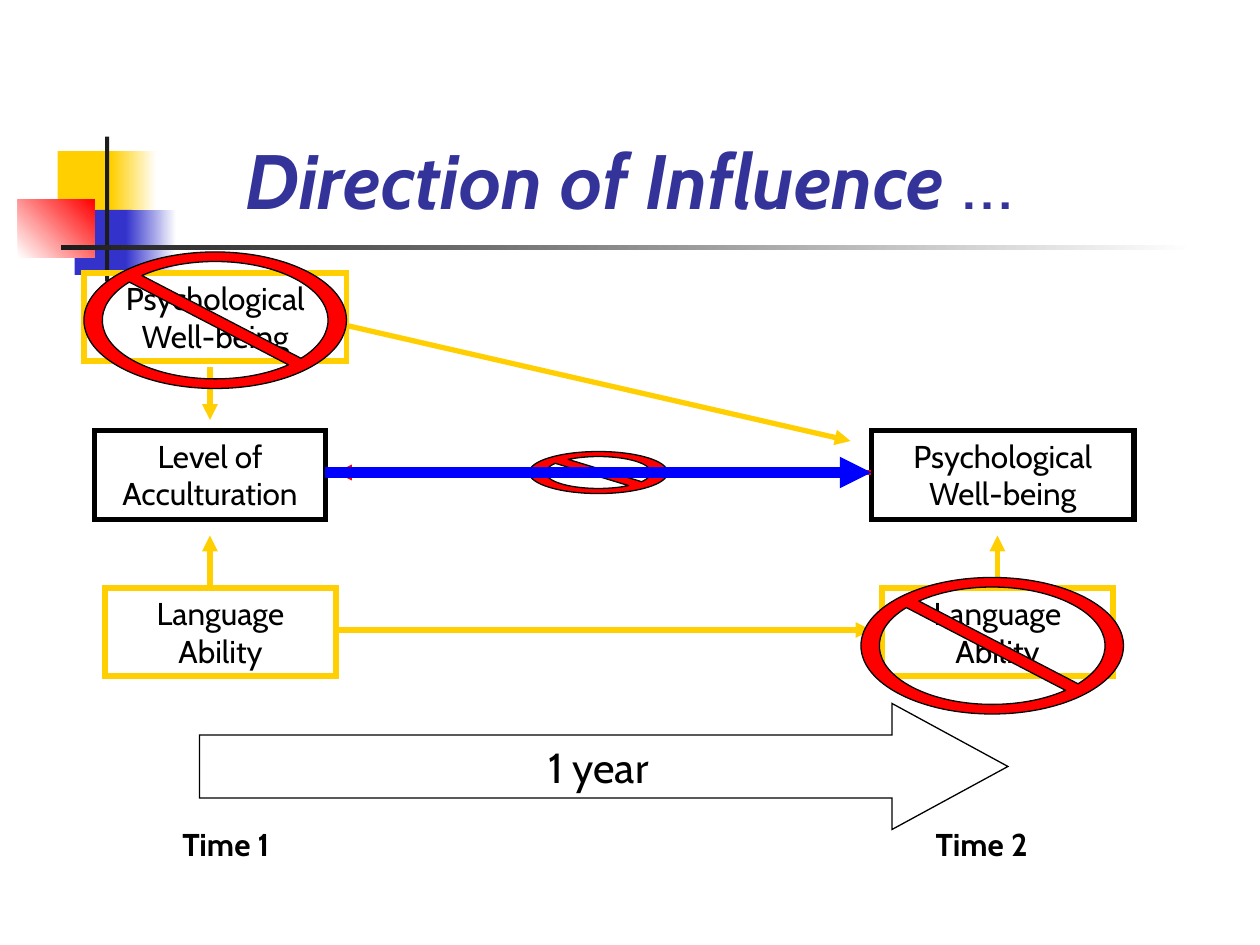
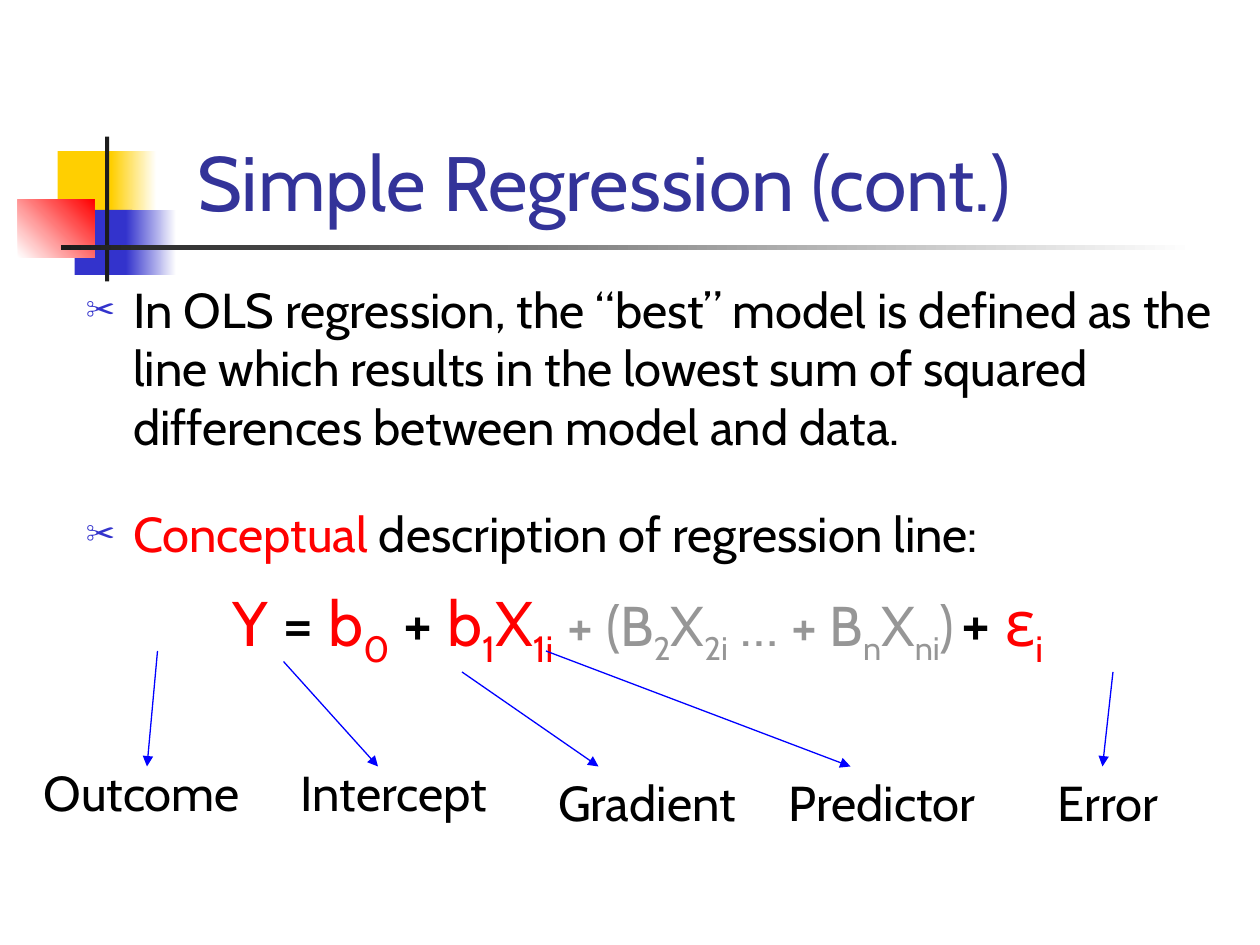
from math import cos, radians, sin, tan

from pptx import Presentation
from pptx.dml.color import RGBColor
from pptx.enum.dml import MSO_LINE
from pptx.enum.shapes import MSO_CONNECTOR, MSO_SHAPE
from pptx.enum.text import MSO_ANCHOR, MSO_AUTO_SIZE, PP_ALIGN
from pptx.oxml.ns import qn
from pptx.util import Pt
from lxml import etree

PX = 7620
TITLE_ONLY = 5
FONT = "Cabin"
RECTANGLE = MSO_SHAPE.RECTANGLE
RIGHT_ARROW = MSO_SHAPE.RIGHT_ARROW
STRAIGHT = MSO_CONNECTOR.STRAIGHT
DOTTED = MSO_LINE.ROUND_DOT
TOP, BOTTOM = MSO_ANCHOR.TOP, MSO_ANCHOR.BOTTOM
LEFT, CENTER = PP_ALIGN.LEFT, PP_ALIGN.CENTER
NO_FIT = MSO_AUTO_SIZE.NONE

BLACK, WHITE, INK = "000000", "FFFFFF", "1C1C1C"
YELLOW, RED, GREY = "FFCF01", "FF0000", "969696"
INDIGO, BLUE, NAVY = "3333CC", "0000FF", "333399"

TITLE = {"size": 44, "color": NAVY}
TITLE_STRONG = {**TITLE, "bold": True, "italic": True}
LABEL = {"size": 18, "color": BLACK}
TIME = {**LABEL, "bold": True}
SPAN = {"size": 24, "color": BLACK}
BODY = {"size": 28, "color": BLACK}
BODY_RED = {**BODY, "color": RED}
SIGN = {"size": 36, "color": BLACK}
TERM = {"size": 36, "color": RED}
TERM_SUB = {**TERM, "baseline": -25000}
EXTRA = {"size": 32, "color": GREY}
EXTRA_SUB = {**EXTRA, "baseline": -25000}
GAP = {"size": 18, "color": BLACK}

BAND_BLOCKS = [
    ((55, 144, 58, 62), YELLOW, None, 0),
    ((106, 144, 43, 62), YELLOW, WHITE, 0),
    ((71, 200, 55, 62), INDIGO, None, 0),
    ((120, 200, 48, 62), INDIGO, WHITE, 0),
    ((17, 190, 73, 55), WHITE, RED, 45),
    ((100, 130, 4, 138), INK, None, 0),
    ((58, 233, 1080, 5), INK, WHITE, 0),
]

EQUATION = [
    ("Y", TERM), (" = ", SIGN), ("b", TERM), ("0", TERM_SUB), (" + ", SIGN),
    ("b", TERM), ("1", TERM_SUB), ("X", TERM), ("1i", TERM_SUB), (" ", TERM),
    ("+ (B", EXTRA), ("2", EXTRA_SUB), ("X", EXTRA), ("2i", EXTRA_SUB),
    (" … + B", EXTRA), ("n", EXTRA_SUB), ("X", EXTRA), ("ni", EXTRA_SUB),
    (")", EXTRA), (" ", GAP), ("+ ", SIGN), ("ε", TERM), ("i", TERM_SUB),
]


def rgb(value):
    return RGBColor.from_string(value)


def emu(lengths):
    return [length * PX for length in lengths]


def format_span(span, values):
    span.font.name = FONT
    for name, value in values.items():
        if name == "color":
            span.font.color.rgb = rgb(value)
        elif name == "baseline":
            span._r.get_or_add_rPr().set(name, str(value))
        else:
            setattr(span.font, name, Pt(value) if name == "size" else value)


def add_spans(para, spans, align):
    para.alignment = align
    for text, values in spans:
        span = para.add_run()
        span.text = text
        format_span(span, values)


def add_bullet(para, mark):
    properties = para._p.get_or_add_pPr()
    properties.set("marL", str(45 * PX))
    properties.set("indent", str(-45 * PX))
    color = etree.SubElement(properties, qn("a:buClr"))
    etree.SubElement(color, qn("a:srgbClr")).set("val", INDIGO)
    etree.SubElement(properties, qn("a:buSzPct")).set("val", "60000")
    etree.SubElement(properties, qn("a:buFont")).set("typeface", FONT)
    etree.SubElement(properties, qn("a:buChar")).set("char", mark)


def add_text(page, area, spans, align=CENTER):
    frame = page.shapes.add_textbox(*emu(area)).text_frame
    frame.word_wrap = True
    add_spans(frame.paragraphs[0], spans, align)
    return frame


def add_outline(page, kind, area, color, width):
    shape = page.shapes.add_shape(kind, *emu(area))
    shape.shadow.inherit = False
    shape.fill.background()
    shape.line.color.rgb = rgb(color)
    shape.line.width = Pt(width)
    etree.SubElement(shape.line._get_or_add_ln(), qn("a:miter")).set("lim", "800000")
    return shape


def add_factor(page, area, text, color):
    frame = add_outline(page, RECTANGLE, area, color, 3).text_frame
    frame.word_wrap = True
    frame.vertical_anchor = TOP
    add_spans(frame.paragraphs[0], [(text, LABEL)], CENTER)


def add_arrow(page, points, color, width, dash=None):
    arrow = page.shapes.add_connector(STRAIGHT, *emu(points))
    arrow.line.color.rgb = rgb(color)
    arrow.line.width = Pt(width)
    if dash:
        arrow.line.dash_style = dash
    etree.SubElement(arrow.line._get_or_add_ln(), qn("a:tailEnd")).set("type", "triangle")
    etree.SubElement(arrow._element.spPr, qn("a:effectLst"))


def arc_points(radius, start, sweep, count):
    step = radians(sweep / count)
    reach = 4 / 3 * tan(step / 4)
    points = [(radius * cos(radians(start)), radius * sin(radians(start)))]
    for index in range(count):
        begin = radians(start) + index * step
        end = begin + step
        points += [
            (radius * (cos(begin) - reach * sin(begin)),
             radius * (sin(begin) + reach * cos(begin))),
            (radius * (cos(end) + reach * sin(end)),
             radius * (sin(end) - reach * cos(end))),
            (radius * cos(end), radius * sin(end)),
        ]
    return points


def bend_lines(shape):
    lines = list(shape._element.iter(qn("a:lnTo")))
    for first, second, third in zip(lines[::3], lines[1::3], lines[2::3]):
        curve = etree.Element(qn("a:cubicBezTo"))
        first.addprevious(curve)
        for line in (first, second, third):
            curve.append(line[0])
            line.getparent().remove(line)


def add_ban(page, area, radius, start):
    left, top, width, height = emu(area)
    builder = None
    for ring in (arc_points(1, 180, 360, 4),
                 arc_points(radius, start, -90 - 2 * start, 2),
                 arc_points(radius, start + 180, -90 - 2 * start, 2)):
        points = [(left + width / 2 * (1 + x), top + height / 2 * (1 + y)) for x, y in ring]
        if builder is None:
            builder = page.shapes.build_freeform(*points[0])
        else:
            builder.move_to(*points[0])
        builder.add_line_segments(points[1:], close=True)
    ban = builder.convert_to_shape()
    bend_lines(ban)
    ban.shadow.inherit = False
    ban.fill.solid()
    ban.fill.fore_color.rgb = rgb(RED)
    ban.line.color.rgb = rgb(BLACK)
    ban.line.width = Pt(0.75)


def add_band(page):
    for area, start, end, angle in BAND_BLOCKS:
        block = page.shapes.add_shape(RECTANGLE, *emu(area))
        block.shadow.inherit = False
        block.line.fill.background()
        if end:
            block.fill.gradient()
            block.fill.gradient_angle = angle
            for stop, color in zip(block.fill.gradient_stops, (start, end)):
                stop.color.rgb = rgb(color)
        else:
            block.fill.solid()
            block.fill.fore_color.rgb = rgb(start)
        page.slide_layout.shapes._spTree.append(block._element)


def add_page(deck, area, spans, align):
    page = deck.slides.add_slide(deck.slide_layouts[TITLE_ONLY])
    title = page.shapes.title
    title.left, title.top, title.width, title.height = emu(area)
    frame = title.text_frame
    frame.word_wrap = True
    frame.auto_size = NO_FIT
    frame.vertical_anchor = BOTTOM
    add_spans(frame.paragraphs[0], spans, align)
    return page


def build_influence(deck):
    page = add_page(deck, (0, 28, 1200, 192),
                    [("Direction of Influence", TITLE_STRONG), (" …", TITLE)], CENTER)
    add_band(page)
    add_factor(page, (90, 410, 220, 85), "Level of Acculturation", BLACK)
    add_factor(page, (830, 410, 250, 85), "Psychological Well-being", BLACK)
    for left, text in ((140, "Time 1"), (860, "Time 2")):
        add_text(page, (left, 780, 150, 48), [(text, TIME)])
    add_text(page, (330, 700, 480, 60), [("1 year", SPAN)])
    year = add_outline(page, RIGHT_ARROW, (190, 670, 770, 120), BLACK, 0.75)
    year.adjustments[1] = 0.92

    add_arrow(page, (830, 450, 320, 450), RED, 3)
    add_ban(page, (504, 430, 132, 40), 0.76, 35)
    add_arrow(page, (320, 450, 820, 450), BLUE, 3, DOTTED)

    add_factor(page, (80, 260, 250, 84), "Psychological Well-being", YELLOW)
    for left in (100, 840):
        add_factor(page, (left, 560, 220, 84), "Language Ability", YELLOW)
    for points in ((330, 310, 810, 420), (200, 350, 200, 400), (320, 600, 830, 600),
                   (200, 560, 200, 510), (950, 560, 950, 510)):
        add_arrow(page, points, YELLOW, 3)
    add_arrow(page, (310, 450, 830, 450), BLUE, 6)
    for left, top in ((820, 550), (80, 240)):
        add_ban(page, (left, top, 250, 130), 0.86, 40.5)


def build_regression(deck):
    page = add_page(deck, (176, 30, 1024, 192),
                    [("Simple Regression (cont.)", TITLE)], LEFT)
    frame = add_text(page, (70, 260, 1130, 300), [
        ("In OLS regression, the “best” model is defined as the line which results "
         "in the lowest sum of squared differences between model and data.", BODY)], LEFT)
    concept = frame.add_paragraph()
    concept.space_before = Pt(27.5)
    add_spans(concept, [("Conceptual", BODY_RED),
                        (" description of regression line:", BODY)], LEFT)
    for para in frame.paragraphs:
        add_bullet(para, "✂")
    add_text(page, (75, 550, 1065, 95), EQUATION)

    for points in ((150, 620, 140, 730), (270, 630, 360, 730), (440, 640, 570, 730),
                   (520, 620, 810, 730), (1060, 640, 1050, 730)):
        add_arrow(page, points, BLUE, 0.75)
    for left, top, width, text, align in (
            (30, 720, 230, "Outcome", LEFT), (230, 720, 290, "Intercept", CENTER),
            (471, 730, 290, "Gradient", CENTER), (700, 730, 280, "Predictor", CENTER),
            (940, 730, 230, "Error", CENTER)):
        add_text(page, (left, top, width, 68), [(text, BODY)], align)


def main():
    deck = Presentation()
    deck.slide_width, deck.slide_height = emu((1200, 900))
    build_influence(deck)
    build_regression(deck)
    deck.save("out.pptx")


if __name__ == "__main__":
    main()
